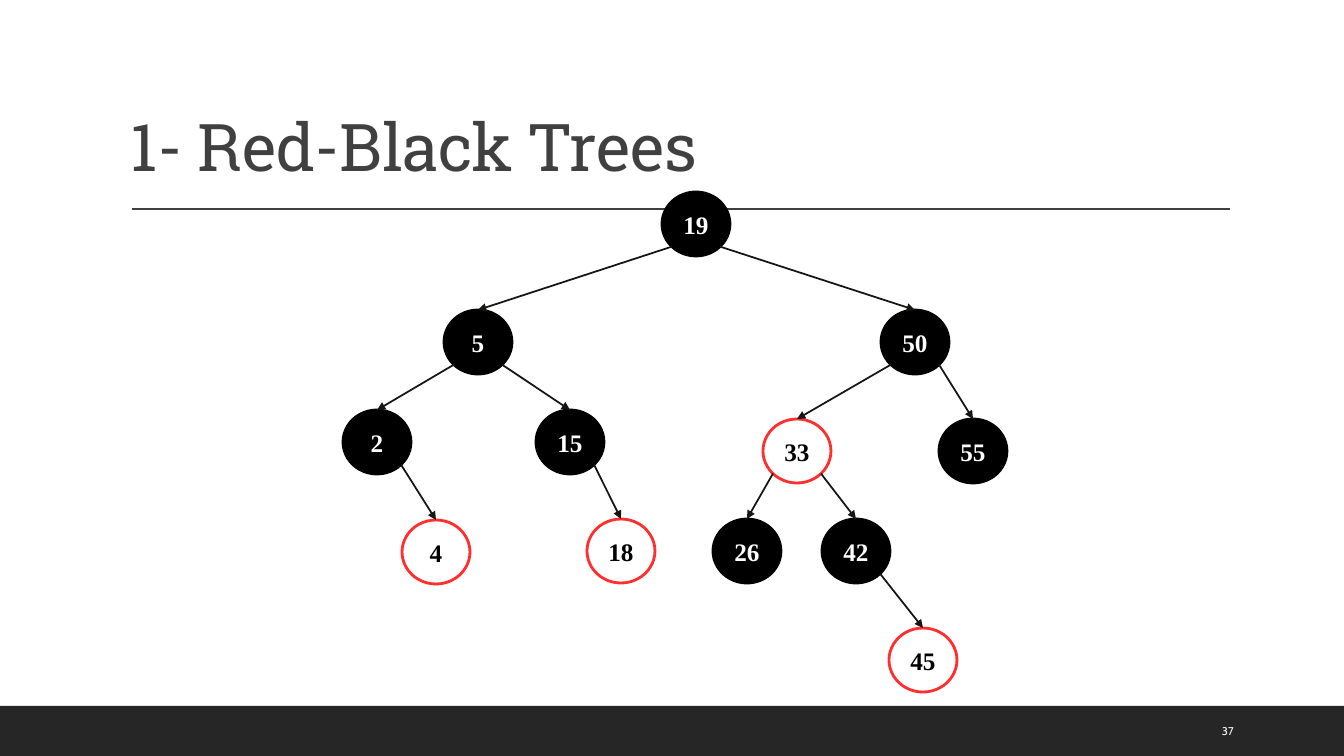
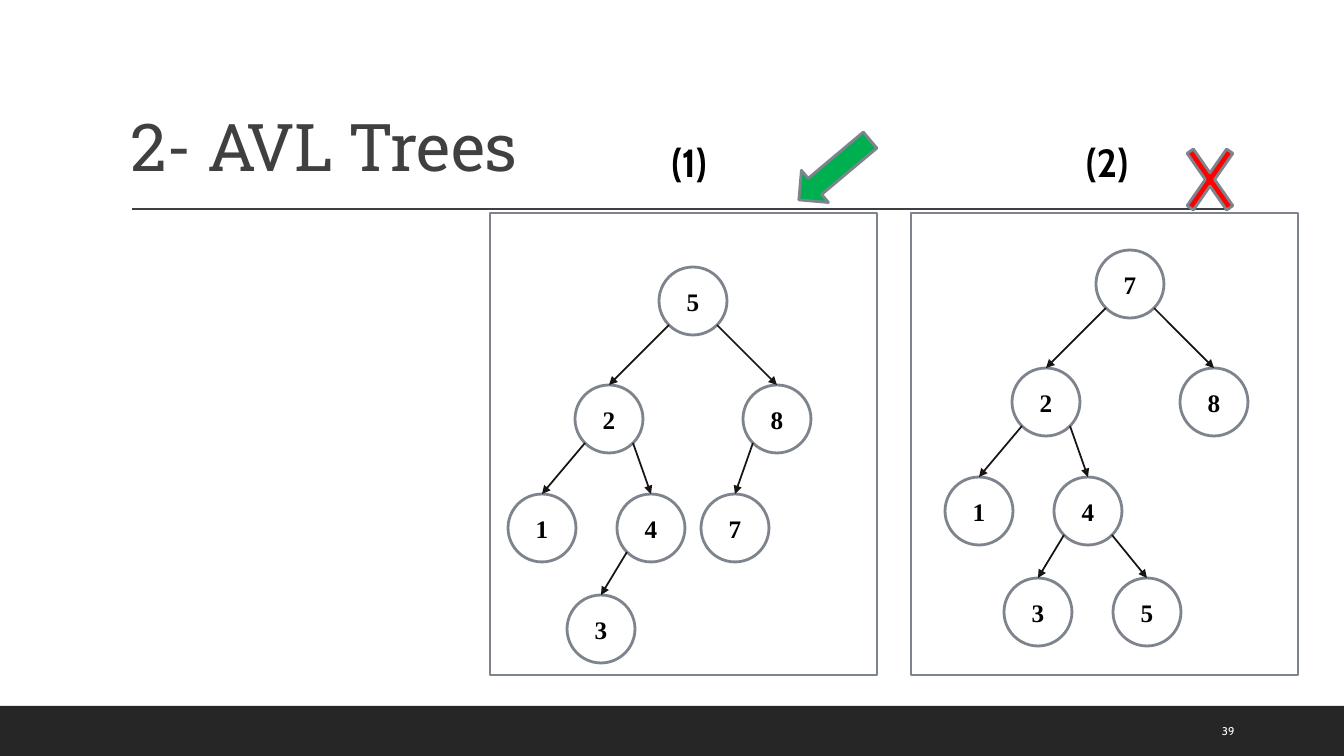
from dataclasses import dataclass
from math import sqrt
from typing import NamedTuple

from lxml import etree
from pptx import Presentation
from pptx import util as u
from pptx.dml.color import RGBColor
from pptx.enum import shapes, text
from pptx.oxml.ns import qn

EMU_PER_PX = 914400 / 100.8
SLIDE_W, SLIDE_H = 1344, 756
BAND_TOP = 706
DIAGONAL = sqrt(0.5)

COLORS = {
    "white": "FFFFFF",
    "black": "000000",
    "band": "262626",
    "heading": "404040",
    "edge": "161514",
    "red": "FF2F2F",
    "gray": "7E848D",
    "right": "00B050",
    "wrong": "FF0000",
}


class Look(NamedTuple):
    fill: str
    line: str
    ink: str
    height: int


BLACK = Look("black", "black", "white", 64)
RED = Look("white", "red", "black", 64)
PLAIN = Look("white", "gray", "black", 68)
NODE_W = 68


@dataclass(frozen=True)
class Node:
    key: str
    x: int  # centre
    y: int
    parent: str = ""
    look: Look = PLAIN


@dataclass(frozen=True)
class Panel:
    left: int
    caption: str
    caption_left: int
    tree: list[Node]


RED_BLACK_TREE = [
    Node("19", 696, 224, "", BLACK),
    Node("5", 478, 342, "19", BLACK),
    Node("50", 915, 342, "19", BLACK),
    Node("2", 377, 442, "5", BLACK),
    Node("15", 570, 442, "5", BLACK),
    Node("33", 797, 451, "50", RED),
    Node("55", 973, 451, "50", BLACK),
    Node("4", 436, 552, "2", RED),
    Node("18", 621, 551, "15", RED),
    Node("26", 747, 551, "33", BLACK),
    Node("42", 856, 551, "33", BLACK),
    Node("45", 923, 660, "42", RED),
]

AVL_PANELS = [
    Panel(490, "(1)", 626, [
        Node("5", 693, 301),
        Node("2", 609, 419, "5"),
        Node("8", 777, 419, "5"),
        Node("1", 542, 528, "2"),
        Node("4", 651, 528, "2"),
        Node("7", 735, 528, "8"),
        Node("3", 601, 629, "4"),
    ]),
    Panel(911, "(2)", 1044, [
        Node("7", 1130, 284),
        Node("2", 1046, 402, "7"),
        Node("8", 1214, 402, "7"),
        Node("1", 979, 511, "2"),
        Node("4", 1088, 511, "2"),
        Node("3", 1038, 612, "4"),
        Node("5", 1147, 612, "4"),
    ]),
]


def px(length: float) -> int:
    return round(length * EMU_PER_PX)


def rgb(name: str) -> RGBColor:
    return RGBColor.from_string(COLORS[name])


def write(frame, words: str, *, size: int, font: str, color: str,
          bold: bool = False, align=text.PP_ALIGN.LEFT,
          anchor=text.MSO_ANCHOR.MIDDLE, leading: float = 1.0,
          tracking: int = 0) -> None:
    """Fill a text frame with one formatted paragraph."""
    frame.vertical_anchor = anchor
    paragraph = frame.paragraphs[0]
    paragraph.alignment = align
    paragraph.line_spacing = leading
    run = paragraph.add_run()
    run.text = words
    run.font.size = u.Pt(size)
    run.font.name = font
    run.font.bold = bold
    run.font.color.rgb = rgb(color)
    if tracking:
        run.font._element.set("spc", str(tracking))


def add_text(slide, left: int, top: int, width: int, height: int,
             words: str, **style) -> None:
    box = slide.shapes.add_textbox(px(left), px(top), px(width), px(height))
    box.text_frame.word_wrap = True
    write(box.text_frame, words, **style)


def add_figure(slide, kind, left: float, top: float, width: int, height: int,
               fill: str, line: str | None = "gray"):
    figure = slide.shapes.add_shape(
        kind, px(left), px(top), px(width), px(height))
    figure.shadow.inherit = False
    figure.fill.solid()
    figure.fill.fore_color.rgb = rgb(fill)
    if line:
        figure.line.color.rgb = rgb(line)
        figure.line.width = u.Pt(2)
    else:
        figure.line.fill.background()
    return figure


def add_line(slide, x1: float, y1: float, x2: float, y2: float,
             color: str, weight: float, arrow: bool = False):
    line = slide.shapes.add_connector(
        shapes.MSO_CONNECTOR.STRAIGHT, px(x1), px(y1), px(x2), px(y2))
    line.line.color.rgb = rgb(color)
    line.line.width = u.Pt(weight)
    if arrow:
        etree.SubElement(line.line._get_or_add_ln(), qn("a:tailEnd"),
                         type="triangle")
    etree.SubElement(line._element.spPr, qn("a:effectLst"))
    return line


def add_node(slide, node: Node):
    look = node.look
    circle = add_figure(slide, shapes.MSO_SHAPE.OVAL,
                        node.x - NODE_W / 2, node.y - look.height / 2,
                        NODE_W, look.height, look.fill, look.line)
    frame = circle.text_frame
    frame.margin_left = frame.margin_right = 0
    frame.margin_top = frame.margin_bottom = 0
    write(frame, node.key, size=18, font="Times New Roman", color=look.ink,
          bold=True, align=text.PP_ALIGN.CENTER)
    return circle


def add_tree(slide, tree: list[Node]) -> None:
    nodes = {node.key: node for node in tree}
    circles = {node.key: add_node(slide, node) for node in tree}
    # Each edge leaves the parent's lower diagonal and meets the child's top
    for child in tree:
        if not child.parent:
            continue
        parent = nodes[child.parent]
        side = -1 if child.x < parent.x else 1
        edge = add_line(
            slide,
            parent.x + side * DIAGONAL * NODE_W / 2,
            parent.y + DIAGONAL * parent.look.height / 2,
            child.x, child.y - child.look.height / 2,
            "edge", 1.25, arrow=True)
        edge.end_connect(circles[child.key], 0)


def add_page(deck, title: str, number: str):
    """Add a blank slide with the shared band, rule, title and number."""
    slide = deck.slides.add_slide(deck.slide_layouts[6])
    add_figure(slide, shapes.MSO_SHAPE.RECTANGLE, 0, BAND_TOP,
               SLIDE_W, SLIDE_H - BAND_TOP, "band", None)
    add_line(slide, 132, 209, 1230, 209, "heading", 1)
    add_text(slide, 121, 31, 1109, 160, title, size=47, font="Roboto Slab",
             color="heading", anchor=text.MSO_ANCHOR.BOTTOM, leading=0.9,
             tracking=-50)
    add_text(slide, 1212, 711, 86, 40, number, size=8, font="Cabin",
             color="white")
    return slide


def build_red_black(deck) -> None:
    slide = add_page(deck, "1- Red-Black Trees", "37")
    add_tree(slide, RED_BLACK_TREE)


def build_avl(deck) -> None:
    slide = add_page(deck, "2- AVL Trees", "39")
    for panel in AVL_PANELS:
        add_figure(slide, shapes.MSO_SHAPE.RECTANGLE, panel.left, 213,
                   387, 462, "white")
        add_text(slide, panel.caption_left, 133, 126, 57, panel.caption,
                 size=28, font="Cabin", color="black", bold=True,
                 align=text.PP_ALIGN.CENTER, anchor=text.MSO_ANCHOR.TOP)
        add_tree(slide, panel.tree)

    # Verdicts: valid tree on the left, invalid on the right
    valid_arrow = add_figure(slide, shapes.MSO_SHAPE.LEFT_ARROW,
                             788, 149, 93, 42, "right")
    valid_arrow.rotation = 320
    invalid_cross = add_figure(slide, shapes.MSO_SHAPE.MATH_MULTIPLY,
                               1172, 125, 76, 109, "wrong")
    invalid_cross.adjustments[0] = 0.1


def main() -> None:
    deck = Presentation()
    deck.slide_width, deck.slide_height = px(SLIDE_W), px(SLIDE_H)
    build_red_black(deck)
    build_avl(deck)
    deck.save("out.pptx")


if __name__ == "__main__":
    main()
